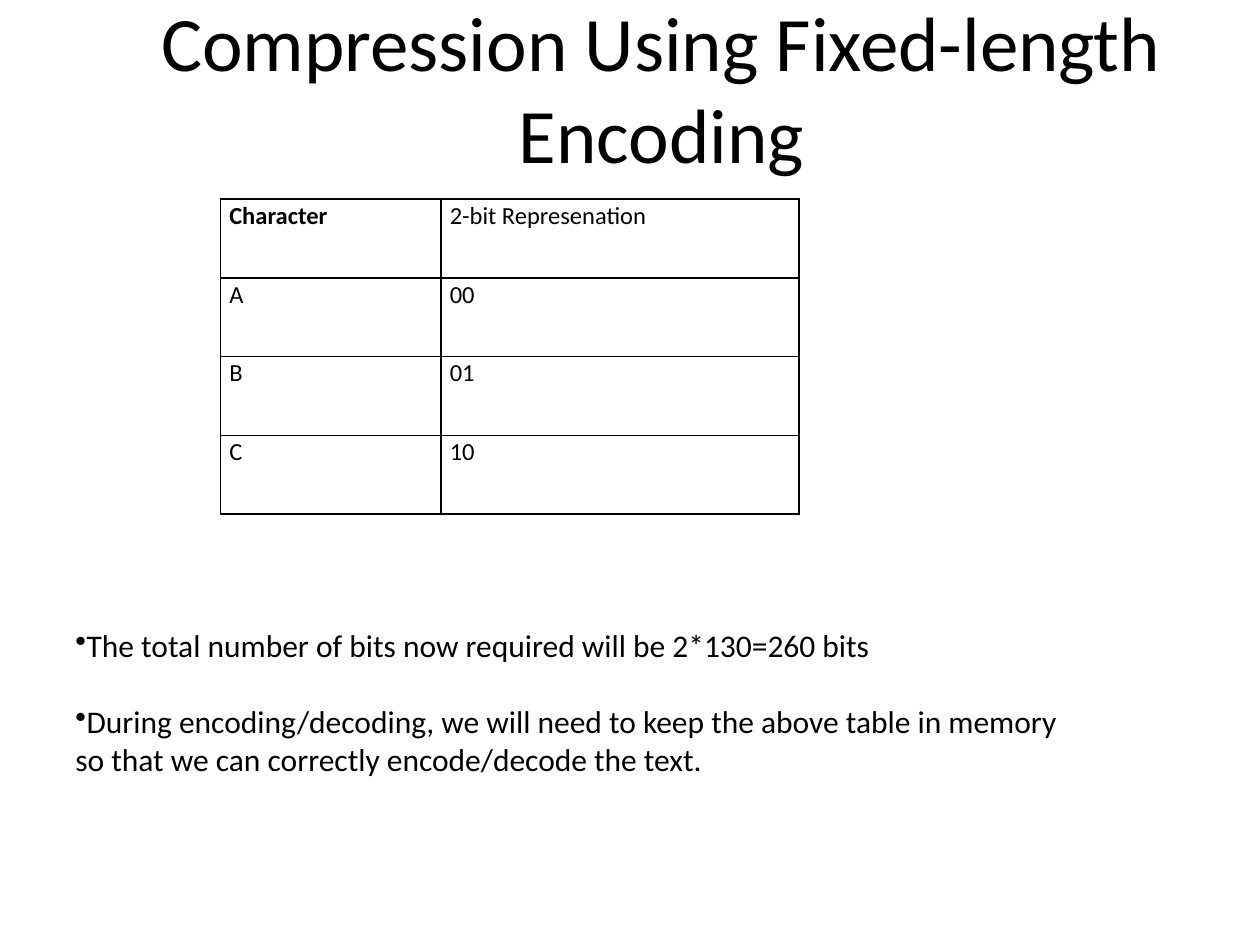
from lxml.etree import SubElement
from pptx import Presentation
from pptx.dml.color import RGBColor
from pptx.enum.text import MSO_ANCHOR, PP_ALIGN
from pptx.oxml.ns import qn
from pptx.util import Inches, Pt

TITLE = "Compression Using Fixed-length Encoding"
CODES = [
    ("Character", "2-bit Represenation"),
    ("A", "00"),
    ("B", "01"),
    ("C", "10"),
]
NOTES = [
    "The total number of bits now required will be 2*130=260 bits",
    "During encoding/decoding, we will need to keep the above table in memory "
    "so that we can correctly encode/decode the text.",
]
COLUMN_WIDTHS = (1.75, 2.84)
ROW_HEIGHT = 0.625
NOTE_GAP = 22
FONT = "Calibri"
BLACK = RGBColor(0, 0, 0)


def add_span(para, text, size, bold=False):
    span = para.add_run()
    span.text = text
    span.font.name = FONT
    span.font.size = Pt(size)
    span.font.bold = bold
    span.font.color.rgb = BLACK


def add_box(page, left, top, width, height):
    box = page.shapes.add_textbox(Inches(left), Inches(top), Inches(width), Inches(height))
    box.text_frame.word_wrap = True
    return box.text_frame


def outline_cell(cell):
    properties = cell._tc.get_or_add_tcPr()
    for side in ("a:lnL", "a:lnR", "a:lnT", "a:lnB"):
        line = SubElement(properties, qn(side), w=str(Pt(1)))
        fill = SubElement(line, qn("a:solidFill"))
        SubElement(fill, qn("a:srgbClr"), val=str(BLACK))


def add_title(page):
    frame = add_box(page, 0.5, 0.3, 9.5, 0.78)
    frame.vertical_anchor = MSO_ANCHOR.MIDDLE
    para = frame.paragraphs[0]
    para.alignment = PP_ALIGN.CENTER
    add_span(para, TITLE, 44)


def add_code_table(page):
    table = page.shapes.add_table(
        len(CODES), len(COLUMN_WIDTHS), Inches(1.75), Inches(1.58),
        Inches(sum(COLUMN_WIDTHS)), Inches(ROW_HEIGHT * len(CODES)),
    ).table
    table.first_row = table.horz_banding = False
    for column, width in zip(table.columns, COLUMN_WIDTHS):
        column.width = Inches(width)
    for r, row in enumerate(CODES):
        for c, text in enumerate(row):
            cell = table.cell(r, c)
            cell.margin_left = cell.margin_right = Inches(0.07)
            cell.margin_top = cell.margin_bottom = 0
            outline_cell(cell)
            cell.fill.background()
            para = cell.text_frame.paragraphs[0]
            para.line_spacing = 1.07
            add_span(para, text, 14, bold=(r == c == 0))


def add_notes(page):
    frame = add_box(page, 0.5, 4.92, 8.25, 1.31)
    for i, text in enumerate(NOTES):
        para = frame.add_paragraph() if i else frame.paragraphs[0]
        if i:
            para.space_before = Pt(NOTE_GAP)
        SubElement(para._p.get_or_add_pPr(), qn("a:buChar"), char="•")
        add_span(para, text, 18)


def main():
    deck = Presentation()
    deck.slide_width, deck.slide_height = Inches(10), Inches(7.5)
    page = deck.slides.add_slide(deck.slide_layouts[6])
    add_title(page)
    add_code_table(page)
    add_notes(page)
    deck.save("out.pptx")


if __name__ == "__main__":
    main()
